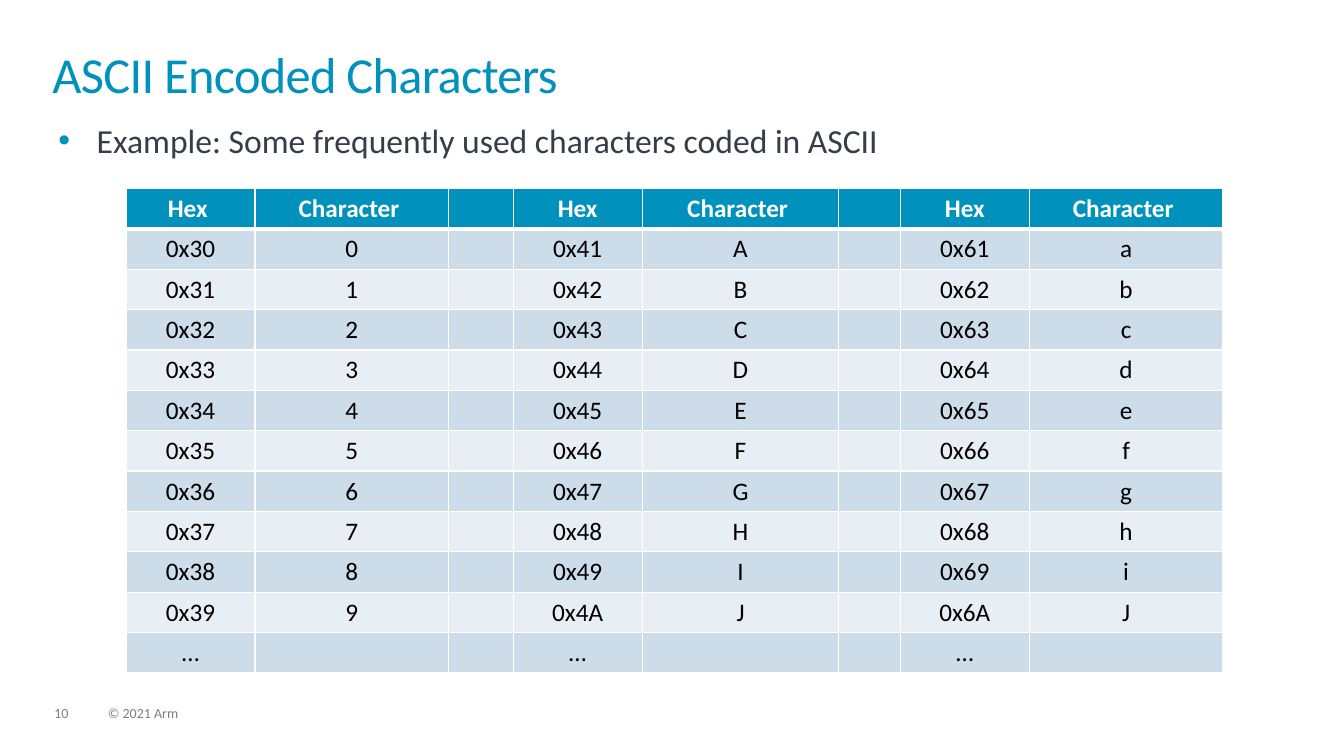
from lxml.etree import SubElement
from pptx import Presentation
from pptx.dml.color import RGBColor
from pptx.enum.text import MSO_ANCHOR, PP_ALIGN
from pptx.oxml.ns import qn
from pptx.util import Inches, Pt

# Content
TITLE = "ASCII Encoded Characters"
EXAMPLE = "Example: Some frequently used characters coded in ASCII"
PAGE_NUMBER = "10"
COPYRIGHT = "© 2021 Arm"
# Heading of the code column, first code, characters
CODE_GROUPS = [
    ("Hex ", 0x30, "0123456789"),
    ("Hex", 0x41, "ABCDEFGHIJ"),
    ("Hex", 0x61, "abcdefghiJ"),
]
CHARACTER_HEADING = "Character "

# Style
FONT = "Calibri"
BLUE, WHITE, BLACK, SLATE, GREY = "0091BD", "FFFFFF", "000000", "333E48", "7F7F7F"
BANDS = ("CCDCE8", "E7EEF4")

# Table grid
TABLE_LEFT, TABLE_TOP = 1.25, 1.87
COLUMN_WIDTHS = [1.28, 1.92, 0.64, 1.28, 1.95, 0.61, 1.28, 1.92]
ROW_HEIGHT = 0.4


def color(value):
    return RGBColor.from_string(value)


def style_font(paragraph, size, value, bold=False):
    font = paragraph.font
    font.name, font.size, font.bold = FONT, Pt(size), bold
    font.color.rgb = color(value)


def add_text(slide, text, left, top, width, height, size, value):
    frame = slide.shapes.add_textbox(
        Inches(left), Inches(top), Inches(width), Inches(height)).text_frame
    frame.word_wrap = True
    frame.vertical_anchor = MSO_ANCHOR.TOP
    frame.margin_left = frame.margin_right = 0
    frame.margin_top = frame.margin_bottom = 0
    paragraph = frame.paragraphs[0]
    paragraph.text = text
    style_font(paragraph, size, value)
    return paragraph


def add_bullet(paragraph, indent):
    properties = paragraph._p.get_or_add_pPr()
    properties.set("marL", str(Inches(indent)))
    properties.set("indent", str(-Inches(indent)))
    bullet_color = SubElement(properties, qn("a:buClr"))
    SubElement(bullet_color, qn("a:srgbClr")).set("val", BLUE)
    SubElement(properties, qn("a:buFont")).set("typeface", "Arial")
    SubElement(properties, qn("a:buChar")).set("char", "•")


def add_borders(cell, top, bottom):
    properties = cell._tc.get_or_add_tcPr()
    for side, width in (("L", 1), ("R", 1), ("T", top), ("B", bottom)):
        line = SubElement(properties, qn(f"a:ln{side}"), w=str(Pt(width)))
        fill = SubElement(line, qn("a:solidFill"))
        SubElement(fill, qn("a:srgbClr")).set("val", WHITE)


def table_rows():
    count = len(CODE_GROUPS[0][2])
    rows = [[] for _ in range(count + 2)]
    for index, (heading, first_code, characters) in enumerate(CODE_GROUPS):
        pairs = [(heading, CHARACTER_HEADING)]
        pairs += [(f"0x{first_code + step:02X}", character)
                  for step, character in enumerate(characters)]
        pairs.append(("…", ""))
        for row, pair in zip(rows, pairs):
            row.extend(("", *pair) if index else pair)
    return rows


def add_code_table(slide):
    rows = table_rows()
    table = slide.shapes.add_table(
        len(rows), len(COLUMN_WIDTHS), Inches(TABLE_LEFT), Inches(TABLE_TOP),
        Inches(sum(COLUMN_WIDTHS)), Inches(ROW_HEIGHT * len(rows))).table
    table.horz_banding = False
    for column, width in zip(table.columns, COLUMN_WIDTHS):
        column.width = Inches(width)
    for row_index, row in enumerate(rows):
        table.rows[row_index].height = Inches(ROW_HEIGHT)
        header = row_index == 0
        for column_index, text in enumerate(row):
            cell = table.cell(row_index, column_index)
            cell.margin_left = cell.margin_right = Inches(0.13)
            cell.margin_top = cell.margin_bottom = Inches(0.05)
            add_borders(cell, 3 if row_index == 1 else 1, 3 if header else 1)
            cell.fill.solid()
            cell.fill.fore_color.rgb = color(BLUE if header else BANDS[(row_index - 1) % 2])
            paragraph = cell.text_frame.paragraphs[0]
            paragraph.alignment = PP_ALIGN.CENTER
            if text:
                paragraph.text = text
            style_font(paragraph, 18, WHITE if header else BLACK, header)


def main():
    presentation = Presentation()
    presentation.slide_width, presentation.slide_height = Inches(13.33), Inches(7.5)
    slide = presentation.slides.add_slide(presentation.slide_layouts[6])

    # Footer
    for text, left, width in ((PAGE_NUMBER, 0.54, 0.34), (COPYRIGHT, 1.07, 5.07)):
        add_text(slide, text, left, 7.01, width, 0.15, 10, GREY).line_spacing = 0.9

    # Title
    title = add_text(slide, TITLE, 0.52, 0.52, 12.28, 0.72, 36, BLUE)
    title.line_spacing = 0.85
    title.runs[0]._r.get_or_add_rPr().set("spc", "-50")

    # Bullet line
    example = add_text(slide, "", 0.58, 1.19, 12.23, 0.54, 24, SLATE)
    example._p.remove(example._p.pPr)
    add_bullet(example, 0.38)
    example.text = EXAMPLE
    style_font(example, 24, SLATE)

    # Code table
    add_code_table(slide)
    presentation.save("out.pptx")


if __name__ == "__main__":
    main()
